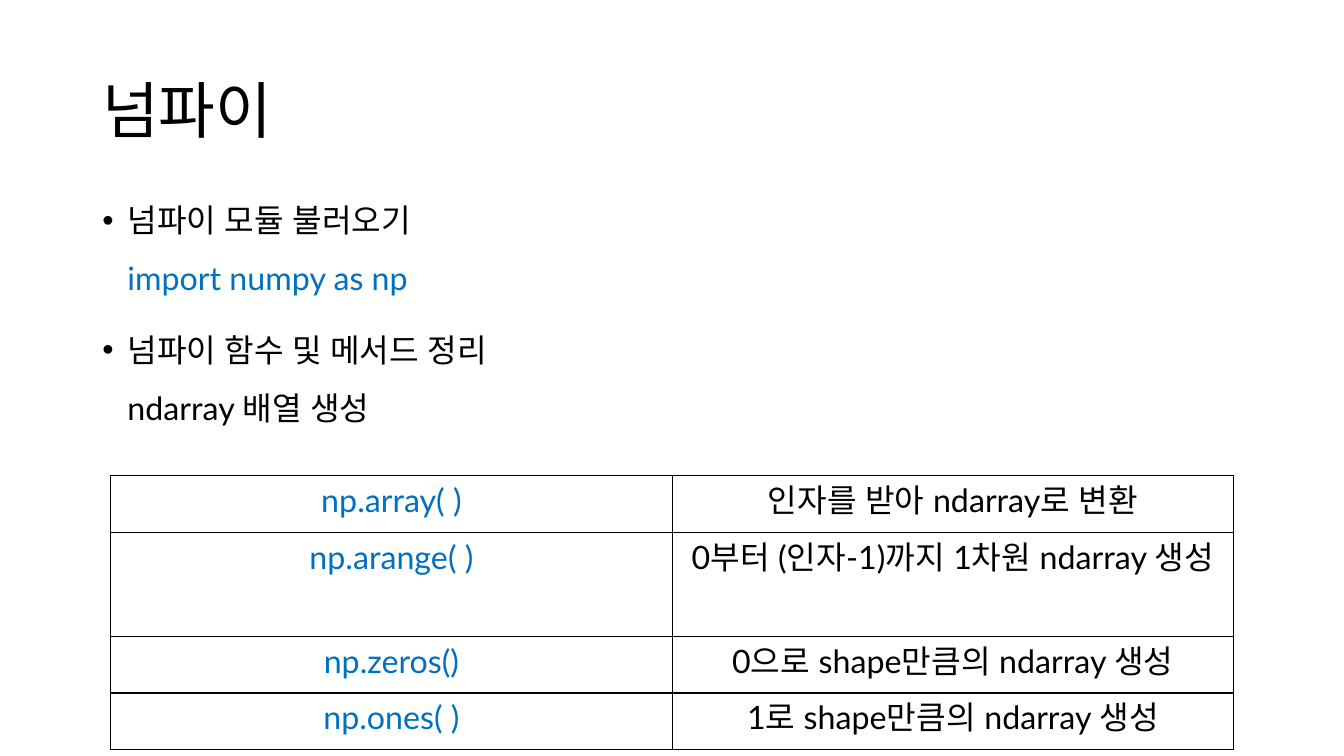
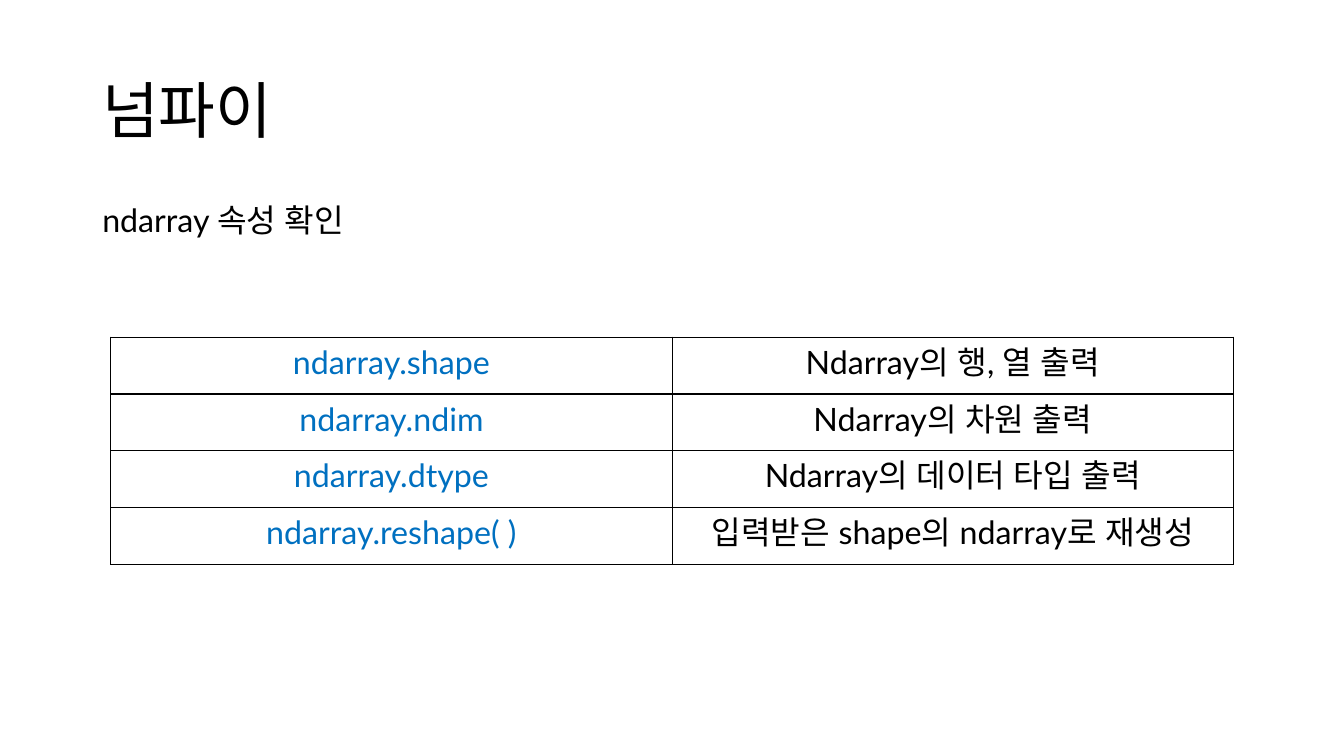
from lxml.etree import SubElement
from pptx import Presentation
from pptx.dml.color import RGBColor
from pptx.enum.text import MSO_ANCHOR, PP_ALIGN
from pptx.oxml.ns import qn
from pptx.util import Pt

COLORS = {"text": "000000", "code": "0070C0", "border": "000000"}
TITLE_FONT = {"name": "Roboto", "size": Pt(44)}
BODY_FONT = {"name": "Lato", "size": Pt(23)}
TITLE_PARA = {"line_spacing": 0.9}
BODY_PARA = {"line_spacing": 1.5, "space_before": Pt(10)}
CELL_PARA = {"alignment": PP_ALIGN.CENTER}
TITLE = "넘파이"
TITLE_BOX = (66, 28.75, 828, 104.4)
BODY_BOX = (66, 126, 828, 343)
TABLE_LEFT, COL_WIDTH = 79.2, 401
ROW_HEIGHT, TALL_ROW_HEIGHT = 40.6, 74
INDENT = 18


def set_attrs(obj, values):
    for name, value in values.items():
        setattr(obj, name, value)


def add_run(p, text, font, color):
    r = p.add_run()
    r.text = text
    set_attrs(r.font, font)
    r.font.color.rgb = RGBColor.from_string(COLORS[color])
    SubElement(r._r.get_or_add_rPr(), qn("a:ea"), typeface=font["name"])


def add_bullet(p):
    pPr = p._p.get_or_add_pPr()
    pPr.set("marL", str(Pt(INDENT)))
    pPr.set("indent", str(-Pt(INDENT)))
    SubElement(pPr, qn("a:buFont"), typeface="Arial")
    SubElement(pPr, qn("a:buChar"), char="•")


def add_box(s, box, anchor):
    tf = s.shapes.add_textbox(*map(Pt, box)).text_frame
    set_attrs(tf, {"word_wrap": True, "vertical_anchor": anchor})
    return tf


def add_title(s):
    p = add_box(s, TITLE_BOX, MSO_ANCHOR.MIDDLE).paragraphs[0]
    set_attrs(p, TITLE_PARA)
    add_run(p, TITLE, TITLE_FONT, "text")


def add_body(s, items, bulleted):
    tf = add_box(s, BODY_BOX, MSO_ANCHOR.TOP)
    for i, lines in enumerate(items):
        p = tf.add_paragraph() if i else tf.paragraphs[0]
        set_attrs(p, BODY_PARA)
        if bulleted:
            add_bullet(p)
        for j, (text, color) in enumerate(lines):
            if j:
                p.add_line_break()
            add_run(p, text, BODY_FONT, color)


def add_borders(cell):
    tcPr = cell._tc.get_or_add_tcPr()
    for side in ("lnL", "lnR", "lnT", "lnB"):
        ln = SubElement(tcPr, qn(f"a:{side}"), w=str(Pt(1)))
        fill = SubElement(ln, qn("a:solidFill"))
        SubElement(fill, qn("a:srgbClr"), val=COLORS["border"])


def add_table(s, top, rows, tall_rows):
    heights = [TALL_ROW_HEIGHT if i in tall_rows else ROW_HEIGHT
               for i in range(len(rows))]
    table = s.shapes.add_table(
        len(rows), 2, Pt(TABLE_LEFT), Pt(top),
        Pt(2 * COL_WIDTH), Pt(sum(heights))).table
    set_attrs(table, {"first_row": False, "horz_banding": False})
    for i, row in enumerate(rows):
        table.rows[i].height = Pt(heights[i])
        for j, (text, color) in enumerate(zip(row, ("code", "text"))):
            cell = table.cell(i, j)
            add_borders(cell)
            cell.fill.background()
            p = cell.text_frame.paragraphs[0]
            set_attrs(p, CELL_PARA)
            add_run(p, text, BODY_FONT, color)


def add_slide(prs, items, bulleted, table_top, rows, tall_rows=()):
    s = prs.slides.add_slide(prs.slide_layouts[6])
    add_title(s)
    add_body(s, items, bulleted)
    add_table(s, table_top, rows, tall_rows)


def main():
    prs = Presentation()
    set_attrs(prs, {"slide_width": Pt(960), "slide_height": Pt(540)})
    add_slide(
        prs,
        [[("넘파이 모듈 불러오기", "text"), ("import numpy as np", "code")],
         [("넘파이 함수 및 메서드 정리", "text"), ("ndarray 배열 생성", "text")]],
        True, 339.8,
        [("np.array( )", "인자를 받아 ndarray로 변환"),
         ("np.arange( )", "0부터 (인자-1)까지 1차원 ndarray 생성"),
         ("np.zeros()", "0으로 shape만큼의 ndarray 생성"),
         ("np.ones( )", "1로 shape만큼의 ndarray 생성")],
        tall_rows=(1,))
    add_slide(
        prs,
        [[("ndarray 속성 확인", "text")]],
        False, 240.9,
        [("ndarray.shape", "Ndarray의 행, 열 출력"),
         ("ndarray.ndim", "Ndarray의 차원 출력"),
         ("ndarray.dtype", "Ndarray의 데이터 타입 출력"),
         ("ndarray.reshape( )", "입력받은 shape의 ndarray로 재생성")])
    prs.save("out.pptx")


if __name__ == "__main__":
    main()
